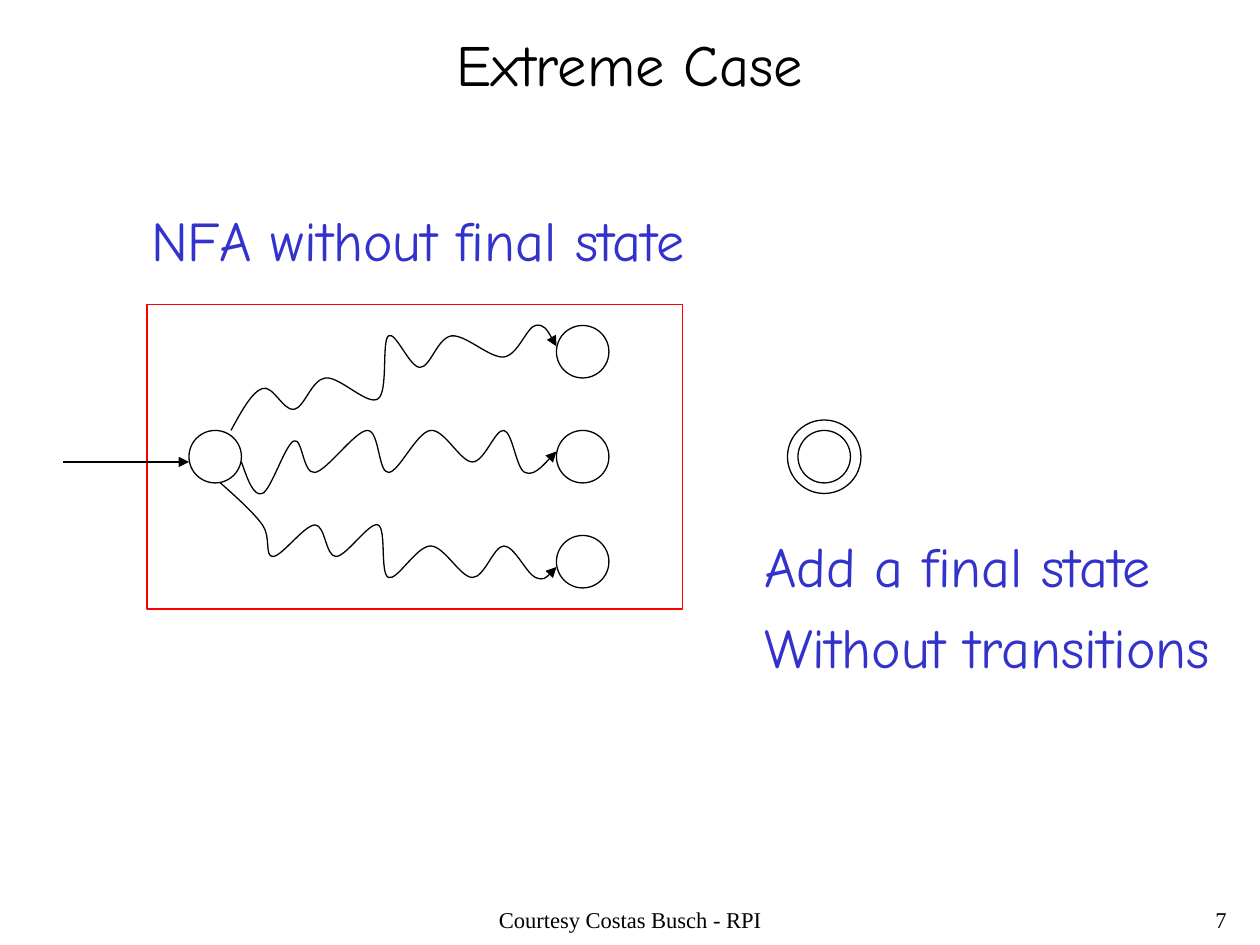
import dataclasses
import pptx
import pptx.util
import pptx.dml.color
import pptx.enum.shapes
import pptx.enum.text
import pptx.oxml
import pptx.oxml.ns

CELL = pptx.util.Inches(1) // 12  # grid of 120 columns by 90 rows
KIND = pptx.enum.shapes.MSO_SHAPE
ALIGN = pptx.enum.text.PP_ALIGN


@dataclasses.dataclass(frozen=True)
class Theme:
    ink: str = "000000"
    note: str = "3333CC"
    frame: str = "FF0000"
    head_font: str = "Comic Neue"
    foot_font: str = "Times New Roman"
    title: float = 33.3
    label: float = 32
    foot: float = 12.9
    gap: float = 8
    line: float = 0.75


THEME = Theme()

# Knots of the three runs through the automaton, as (column, row)
RUNS = [
    [(22, 41), (25, 37), (28, 39), (31, 36), (36, 38), (37, 32),
     (40, 35), (43, 32), (48, 34), (51, 31), (53, 33)],
    [(23, 44), (25, 47), (28, 42), (30, 45), (35, 41), (37, 45),
     (41, 41), (45, 44), (48, 41), (50, 45), (53, 43)],
    [(21, 46), (25, 50), (26, 53), (30, 50), (32, 53), (36, 50),
     (37, 55), (41, 52), (45, 55), (48, 52), (51, 55), (53, 54)],
]


def grid(*cells):
    return [round(cell * CELL) for cell in cells]


def color(code):
    return pptx.dml.color.RGBColor.from_string(code)


def element(tag):
    space = pptx.oxml.ns.nsdecls("a")
    return pptx.oxml.parse_xml(f"<a:{tag} {space}/>")


def stroke(shape, code=THEME.ink):
    shape.line.color.rgb = color(code)
    shape.line.width = pptx.util.Pt(THEME.line)


def arrow(shape):
    """Put a triangle at the end of the line."""
    tip = element("tailEnd")
    tip.set("type", "triangle")
    shape.line._get_or_add_ln().append(tip)


def write(frame, lines, font, size, code, align=ALIGN.LEFT, space=None):
    for i, line in enumerate(lines):
        para = frame.paragraphs[0] if i == 0 else frame.add_paragraph()
        para.alignment = align
        if space:
            para.line_spacing = space
        if i:
            para.space_before = pptx.util.Pt(THEME.gap)
        run = para.add_run()
        run.text = line
        run.font.name = font
        run.font.size = pptx.util.Pt(size)
        run.font.color.rgb = color(code)


def title(slide, text):
    shape = slide.shapes.title
    shape.left, shape.top, shape.width, shape.height = grid(2, 2, 116, 8)
    frame = shape.text_frame
    frame.auto_size = pptx.enum.text.MSO_AUTO_SIZE.NONE
    frame.vertical_anchor = pptx.enum.text.MSO_ANCHOR.MIDDLE
    write(frame, [text], THEME.head_font, THEME.title, THEME.ink, ALIGN.CENTER)


def label(shapes, box, lines):
    frame = shapes.add_textbox(*grid(*box)).text_frame
    frame.word_wrap = False
    frame.auto_size = pptx.enum.text.MSO_AUTO_SIZE.SHAPE_TO_FIT_TEXT
    write(frame, lines, THEME.head_font, THEME.label, THEME.note)


def footer(shapes, box, text, align):
    frame = shapes.add_textbox(*grid(*box)).text_frame
    frame.word_wrap = True
    write(frame, [text], THEME.foot_font, THEME.foot, THEME.ink, align, 0.9)


def outline(shapes, kind, box, code=THEME.ink):
    shape = shapes.add_shape(kind, *grid(*box))
    shape.shadow.inherit = False
    shape.fill.background()
    stroke(shape, code)


def state(shapes, col, row, size=5):
    """Draw a circle centred on a grid point."""
    half = size / 2
    outline(shapes, KIND.OVAL, (col - half, row - half, size, size))


def entry(shapes, start, end):
    line = shapes.add_connector(
        pptx.enum.shapes.MSO_CONNECTOR.STRAIGHT, *grid(*start, *end))
    stroke(line)
    arrow(line)
    line._element.spPr.append(element("effectLst"))


def spline(knots):
    """Return control, control, knot for each piece of a smooth curve."""
    def slope(i):
        return [(b - a) / 6 for a, b in zip(knots[i - 1], knots[i + 1])]

    def middle(a, b):
        return [(p + q) / 2 for p, q in zip(a, b)]

    last = len(knots) - 1
    points = []
    for i, (start, end) in enumerate(zip(knots, knots[1:])):
        if i > 0:
            leave = [p + s for p, s in zip(start, slope(i))]
        if i + 1 < last:
            reach = [p - s for p, s in zip(end, slope(i + 1))]
        else:
            reach = middle(leave, end)
        if i == 0:
            leave = middle(start, reach)
        points += [leave, reach, end]
    return points


def curve(shapes, knots):
    pen = shapes.build_freeform(*grid(*knots[0]))
    pen.add_line_segments([grid(*p) for p in spline(knots)], close=False)
    shape = pen.convert_to_shape()
    shape.shadow.inherit = False
    shape.fill.background()
    stroke(shape)
    arrow(shape)
    # Join each three straight steps into one cubic piece
    name = pptx.oxml.ns.qn
    track = shape._element.find(".//" + name("a:path"))
    steps = track.findall(name("a:lnTo"))
    for i in range(0, len(steps), 3):
        piece = element("cubicBezTo")
        for step in steps[i:i + 3]:
            piece.append(step[0])
            track.remove(step)
        track.append(piece)


def main():
    deck = pptx.Presentation()
    deck.slide_width, deck.slide_height = grid(120, 90)
    slide = deck.slides.add_slide(deck.slide_layouts[5])
    shapes = slide.shapes

    footer(shapes, (41, 86, 38, 4), "Courtesy Costas Busch - RPI", ALIGN.CENTER)
    footer(shapes, (93, 86, 25, 4), "7", ALIGN.RIGHT)
    title(slide, "Extreme Case")

    outline(shapes, KIND.RECTANGLE, (14, 29, 51, 29), THEME.frame)
    state(shapes, 20.5, 43.5)
    for row in (33.5, 43.5, 53.5):
        state(shapes, 55.5, row)
    entry(shapes, (6, 44), (18, 44))
    for knots in RUNS:
        curve(shapes, knots)
    label(shapes, (13.2, 19, 53.6, 7.7), ["NFA without final state"])

    final = shapes.add_group_shape().shapes
    for size in (5, 7):
        state(final, 78.5, 43.5, size)
    label(final, (71.6, 50, 45, 15.4),
          ["Add a final state", "Without transitions"])

    deck.save("out.pptx")


if __name__ == "__main__":
    main()
